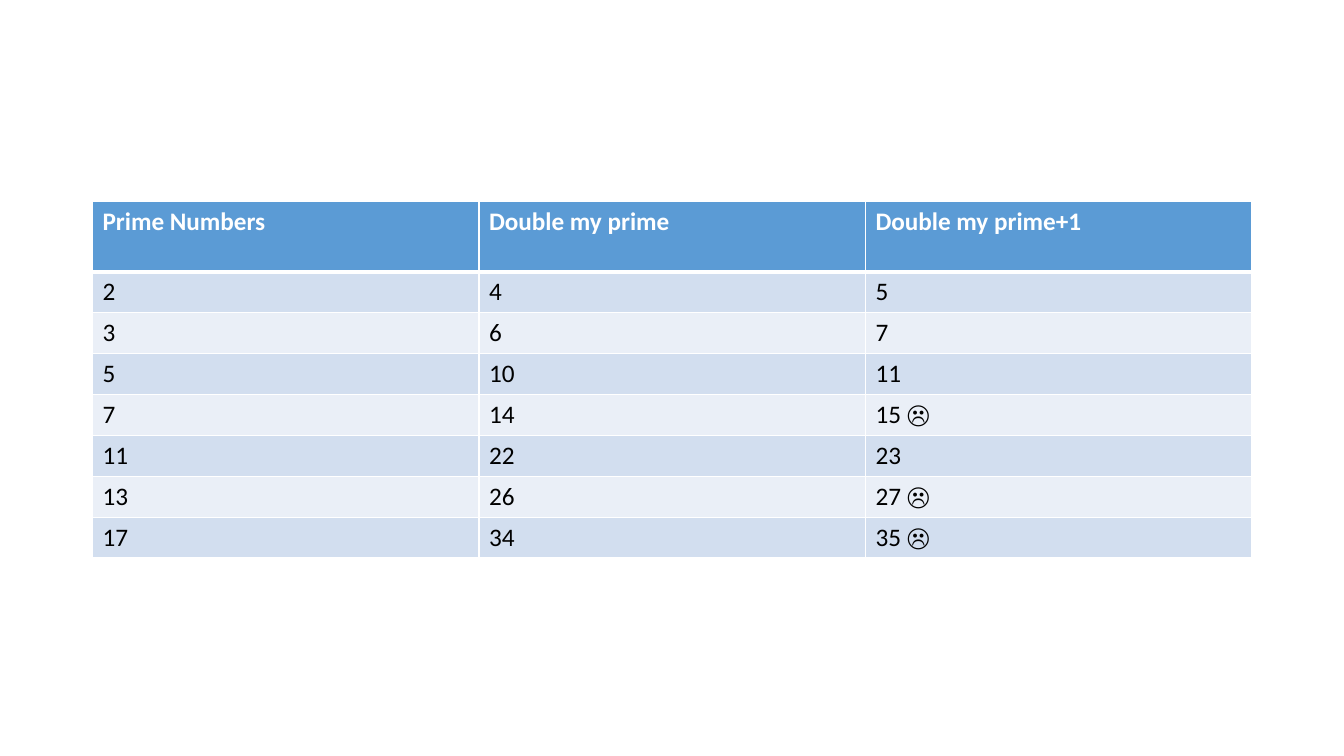
from lxml import etree
from pptx import Presentation
from pptx.dml.color import RGBColor
from pptx.oxml.ns import qn
from pptx.util import Cm, Pt

HEAD = ("Prime Numbers", "Double my prime", "Double my prime+1")
ROWS = [
    ("2", "4", "5"),
    ("3", "6", "7"),
    ("5", "10", "11"),
    ("7", "14", "15 ☹"),
    ("11", "22", "23"),
    ("13", "26", "27 ☹"),
    ("17", "34", "35 ☹"),
]
COLORS = {"head": "5B9BD5", "odd": "D2DEEF", "even": "EAEFF7",
          "line": "FFFFFF", "title": "FFFFFF", "text": "000000"}
FONT, SIZE = "Calibri", Pt(18)
LEFT, TOP = Cm(2.33), Cm(5.08)
COL_W, HEAD_H, ROW_H = Cm(9.74), Cm(1.77), Cm(1.03)
THIN, THICK = Pt(1), Pt(3)


def rgb(name):
    return RGBColor.from_string(COLORS[name])


def set_lines(cell, top, bottom):
    props = cell._tc.get_or_add_tcPr()
    sides = (("a:lnL", THIN), ("a:lnR", THIN), ("a:lnT", top), ("a:lnB", bottom))
    for pos, (tag, width) in enumerate(sides):
        line = etree.Element(qn(tag), w=str(width))
        fill = etree.SubElement(line, qn("a:solidFill"))
        etree.SubElement(fill, qn("a:srgbClr"), val=COLORS["line"])
        props.insert(pos, line)


def fill_cell(cell, text, row):
    is_head = row == 0
    band = "head" if is_head else ("odd" if row % 2 else "even")
    cell.fill.solid()
    cell.fill.fore_color.rgb = rgb(band)
    # The thick rule lies between the header and the first row.
    set_lines(cell, THICK if row == 1 else THIN, THICK if is_head else THIN)
    run = cell.text_frame.paragraphs[0].add_run()
    run.text = text
    run.font.name, run.font.size, run.font.bold = FONT, SIZE, is_head
    run.font.color.rgb = rgb("title" if is_head else "text")


def main():
    deck = Presentation()
    deck.slide_width, deck.slide_height = Cm(33.87), Cm(19.05)
    slide = deck.slides.add_slide(deck.slide_layouts[6])
    data = [HEAD] + ROWS
    frame = slide.shapes.add_table(len(data), len(HEAD), LEFT, TOP,
                                   COL_W * len(HEAD), HEAD_H + ROW_H * len(ROWS))
    table = frame.table
    for col in table.columns:
        col.width = COL_W
    for row, texts in enumerate(data):
        table.rows[row].height = ROW_H if row else HEAD_H
        for col, text in enumerate(texts):
            fill_cell(table.cell(row, col), text, row)
    deck.save("out.pptx")


if __name__ == "__main__":
    main()
